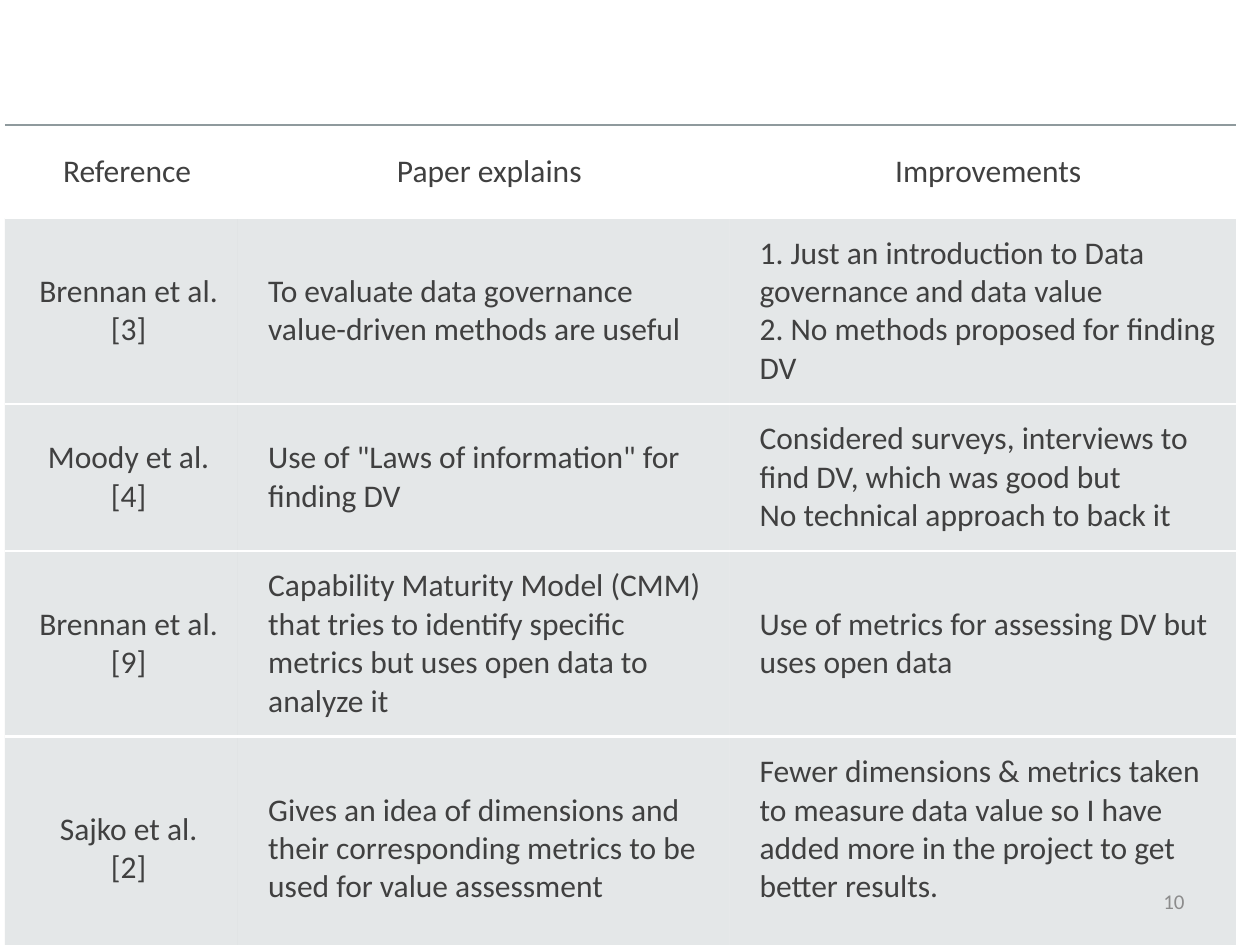
from dataclasses import dataclass

from lxml.etree import SubElement
from pptx import Presentation
from pptx.dml.color import RGBColor
from pptx.enum.text import MSO_ANCHOR, PP_ALIGN
from pptx.oxml import parse_xml
from pptx.oxml.ns import nsdecls, qn
from pptx.util import Pt


@dataclass(frozen=True)
class Theme:
    font: str = "Calibri"
    white: str = "FFFFFF"
    ink: str = "404040"
    muted: str = "8C8C8C"
    rule: str = "8F9A9D"
    band: str = "B4BCBE"
    body: int = 18
    small: int = 12


THEME = Theme()
PLAIN = "{2D5ABB26-0587-4C30-8999-92F81FD0307C}"
LEFT, MID, RIGHT = PP_ALIGN.LEFT, PP_ALIGN.CENTER, PP_ALIGN.RIGHT

COLS = [133.2, 280.8, 289.4]
HEADS = ["Reference", "Paper explains", "Improvements"]
# Each row: height, extra space below the last cell, texts
ROWS = [
    (100, 0, ["Brennan et al.", "[3]"],
     "To evaluate data governance value-driven methods are useful",
     "1. Just an introduction to Data governance and data value\n"
     "2. No methods proposed for finding DV"),
    (84, 0, ["Moody et al.", "[4]"],
     'Use of "Laws of information" for finding DV',
     "Considered surveys, interviews to find DV, which was good but\n"
     "No technical approach to back it"),
    (100, 0, ["Brennan et al.", "[9]"],
     "Capability Maturity Model (CMM) that tries to identify specific "
     "metrics but uses open data to analyze it",
     "Use of metrics for assessing DV but uses open data"),
    (128, 22, ["Sajko et al.", "[2]"],
     "Gives an idea of dimensions and their corresponding metrics to be "
     "used for value assessment",
     "Fewer dimensions & metrics taken to measure data value so I have "
     "added more in the project to get better results."),
]


def write(frame, text, size=THEME.body, color=THEME.ink, align=LEFT):
    """Fill a text frame; a list gives one paragraph per item."""
    frame.word_wrap = True
    for i, line in enumerate([text] if isinstance(text, str) else text):
        para = frame.paragraphs[0] if i == 0 else frame.add_paragraph()
        para.text = line
        para.alignment = align
        font = para.font
        font.name, font.size = THEME.font, Pt(size)
        font.color.rgb = RGBColor.from_string(color)


def border(cell, top, alpha):
    props = cell._tc.get_or_add_tcPr()
    edges = [("lnT", top, alpha), ("lnB", THEME.white, 100)]
    for i, (tag, color, part) in enumerate(edges):
        props.insert(i, parse_xml(
            f'<a:{tag} {nsdecls("a")} w="{Pt(1.5)}"><a:solidFill>'
            f'<a:srgbClr val="{color}"><a:alpha val="{part * 1000}"/>'
            f'</a:srgbClr></a:solidFill></a:{tag}>'))


def shade(cell, color, alpha):
    cell.fill.solid()
    cell.fill.fore_color.rgb = RGBColor.from_string(color)
    tint = cell._tc.tcPr.find(qn("a:solidFill")).find(qn("a:srgbClr"))
    SubElement(tint, qn("a:alpha")).set("val", str(alpha * 1000))


def pad(cell, gap, extra=0):
    cell.margin_left = Pt(17.3)
    cell.margin_top = cell.margin_right = Pt(gap)
    cell.margin_bottom = Pt(gap + extra)
    cell.vertical_anchor = MSO_ANCHOR.MIDDLE


def add_grid(slide, box):
    frame = slide.shapes.add_table(len(ROWS) + 1, len(COLS), *map(Pt, box))
    table = frame.table
    table._tbl.tblPr.find(qn("a:tableStyleId")).text = PLAIN
    table.horz_banding = False
    for col, width in zip(table.columns, COLS):
        col.width = Pt(width)
    table.rows[0].height = Pt(53.3)
    for cell, text in zip(table.rows[0].cells, HEADS):
        pad(cell, 10.8)
        cell.fill.background()
        border(cell, THEME.rule, 60)
        write(cell.text_frame, text, align=MID)
    for r, (height, extra, *texts) in enumerate(ROWS, 1):
        table.rows[r].height = Pt(height)
        for c, text in enumerate(texts):
            cell = table.cell(r, c)
            pad(cell, 9.1, extra if c == len(COLS) - 1 else 0)
            shade(cell, THEME.band, 35)
            border(cell, THEME.white, 100)
            write(cell.text_frame, text, align=LEFT if c else MID)


def add_number(slide, box):
    frame = slide.shapes.add_textbox(*map(Pt, box)).text_frame
    frame.vertical_anchor = MSO_ANCHOR.MIDDLE
    write(frame, "10", size=THEME.small, color=THEME.muted, align=RIGHT)


def main():
    deck = Presentation()
    deck.slide_width, deck.slide_height = Pt(720), Pt(540)
    slide = deck.slides.add_slide(deck.slide_layouts[6])
    add_grid(slide, (2.8, 71.3, sum(COLS), 465.3))
    add_number(slide, (516, 500.5, 168, 28.8))
    deck.save("out.pptx")


if __name__ == "__main__":
    main()
